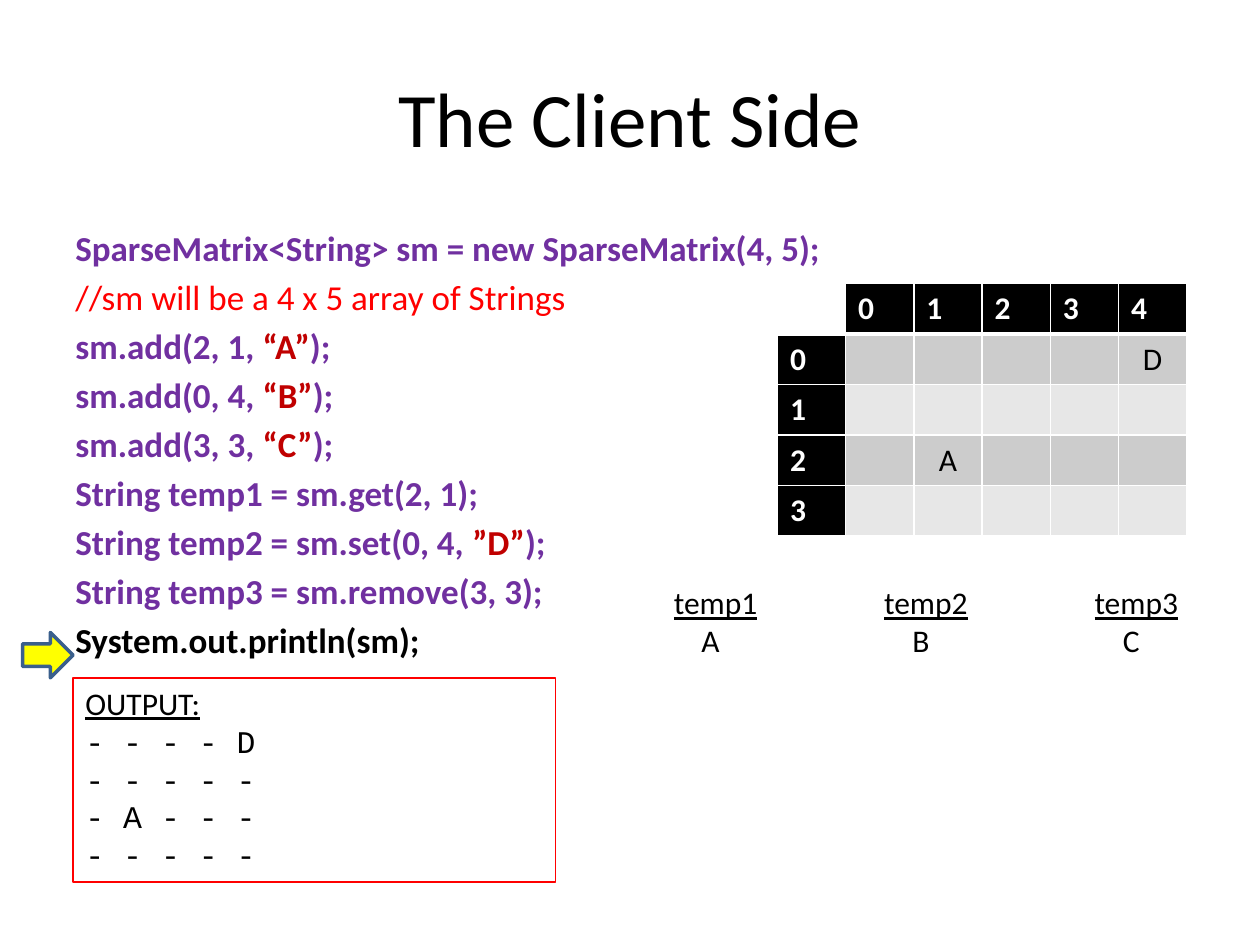
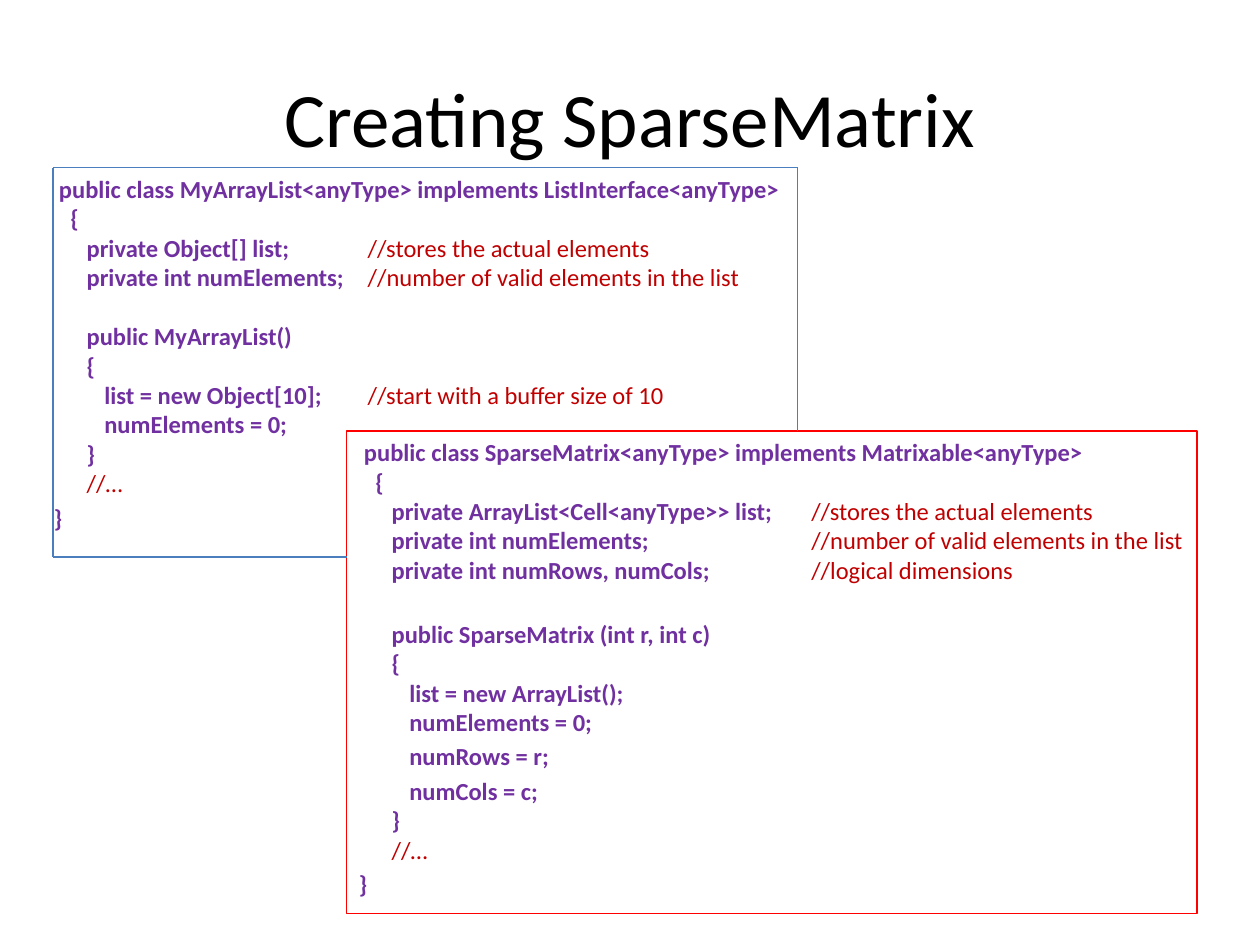
from dataclasses import dataclass

from lxml import etree
from pptx import Presentation
from pptx.dml.color import RGBColor
from pptx.enum import shapes, text
from pptx.oxml import ns
from pptx.util import Inches, Pt


@dataclass(frozen=True)
class Theme:
    # Colours
    black: str = "000000"
    white: str = "FFFFFF"
    code: str = "7030A0"
    literal: str = "C00000"
    red: str = "FF0000"
    blue: str = "4B7EBC"
    arrow_fill: str = "FFFF00"
    arrow_line: str = "3A5F8C"
    bands: tuple = ("CCCCCC", "E7E7E7")
    # Fonts and type sizes
    font: str = "Calibri"
    mono: str = "Courier New"
    title_size: int = 44
    large_code: int = 20
    label: int = 18
    small_code: int = 14


THEME = Theme()


def style(size, color=THEME.black, **extra):
    return {"name": THEME.font, "size": Pt(size), "color": color, **extra}


TITLE = style(THEME.title_size)
CODE = style(THEME.large_code, THEME.code, bold=True)
LITERAL = style(THEME.large_code, THEME.literal, bold=True)
NOTE = style(THEME.large_code, THEME.red)
CURRENT = style(THEME.large_code, bold=True)
LABEL = style(THEME.label)
UNDERLINED = style(THEME.label, underline=True)
MONO = {**LABEL, "name": THEME.mono}
HEADER = style(THEME.label, THEME.white, bold=True)
SMALL_CODE = style(THEME.small_code, THEME.code, bold=True)
COMMENT = style(THEME.small_code, THEME.literal)

# Indent steps of the class listings, in inches, one tab each
INDENTS = (0.04, 0.13, 0.26, 0.4)
PARAGRAPH_GAP = 2.8
BLANK_LINE = 17


def rgb(value):
    return RGBColor.from_string(value)


# Text
def write_paragraph(frame, spans, gap=0, align=text.PP_ALIGN.LEFT, tabs=(), tab_align="l"):
    para = frame.paragraphs[0]
    if para.runs:
        para = frame.add_paragraph()
    para.alignment = align
    para.space_before = Pt(gap)
    if tabs:
        properties = para._p.get_or_add_pPr()
        stops = etree.SubElement(properties, ns.qn("a:tabLst"))
        for stop in tabs:
            etree.SubElement(stops, ns.qn("a:tab"), pos=str(Inches(stop)), algn=tab_align)
    for words, look in spans:
        span = para.add_run()
        span.text = words
        for key, value in look.items():
            if key == "color":
                span.font.color.rgb = rgb(value)
            else:
                setattr(span.font, key, value)


def add_box(page, area, line=None, width=0.75, fill=None, kind=shapes.MSO_SHAPE.RECTANGLE):
    box = page.shapes.add_shape(kind, *map(Inches, area))
    box.shadow.inherit = False
    if fill:
        box.fill.solid()
        box.fill.fore_color.rgb = rgb(fill)
    else:
        box.fill.background()
    if line:
        box.line.color.rgb = rgb(line)
        box.line.width = Pt(width)
    else:
        box.line.fill.background()
    box.text_frame.word_wrap = True
    box.text_frame.vertical_anchor = text.MSO_ANCHOR.TOP
    return box


def add_page(deck, title):
    page = deck.slides.add_slide(deck.slide_layouts[6])
    frame = page.shapes.add_textbox(*map(Inches, (0.5, 0.3, 9, 1.25))).text_frame
    frame.word_wrap = True
    frame.vertical_anchor = text.MSO_ANCHOR.MIDDLE
    write_paragraph(frame, [(title, TITLE)], align=text.PP_ALIGN.CENTER)
    return page


def add_listing(page, area, line, comment_column, rows):
    """Each row holds indent level, code, comment and the gap above in points."""
    frame = add_box(page, area, line).text_frame
    frame.margin_right = 0
    for level, code, comment, gap in rows:
        spans = [("\t" * level + code, SMALL_CODE)]
        if comment:
            spans.append(("\t" + comment if code else comment, COMMENT))
        write_paragraph(frame, spans, gap, tabs=(*INDENTS, comment_column))


# Table
def set_borders(cell, bottom):
    properties = cell._tc.get_or_add_tcPr()
    for position, (side, width) in enumerate(
        (("lnL", 1), ("lnR", 1), ("lnT", 1), ("lnB", bottom))
    ):
        border = etree.Element(ns.qn(f"a:{side}"), w=str(Pt(width)))
        fill = etree.SubElement(border, ns.qn("a:solidFill"))
        etree.SubElement(fill, ns.qn("a:srgbClr"), val=THEME.white)
        properties.insert(position, border)


def add_matrix(page, area, rows, columns, values):
    table = page.shapes.add_table(rows + 1, columns + 1, *map(Inches, area)).table
    for row in range(rows + 1):
        for column in range(columns + 1):
            cell = table.cell(row, column)
            is_header = row == 0 or column == 0
            color = THEME.black if is_header else THEME.bands[(row - 1) % 2]
            words, look, align = "", LABEL, text.PP_ALIGN.CENTER
            if row == column == 0:
                color = THEME.white
            elif is_header:
                words, look, align = str(row + column - 1), HEADER, text.PP_ALIGN.LEFT
            else:
                words = values.get((row - 1, column - 1), "")
            cell.fill.solid()
            cell.fill.fore_color.rgb = rgb(color)
            set_borders(cell, bottom=3 if row == 0 else 1)
            if words:
                write_paragraph(cell.text_frame, [(words, look)], align=align)


# Lines
def add_line(page, start, end):
    line = page.shapes.add_connector(
        shapes.MSO_CONNECTOR.STRAIGHT, *map(Inches, (*start, *end))
    )
    line.line.color.rgb = rgb(THEME.blue)
    line.line.width = Pt(0.75)
    etree.SubElement(line._element.spPr, ns.qn("a:effectLst"))


# Slides
def build_client_side(deck):
    page = add_page(deck, "The Client Side")
    program = [
        [("SparseMatrix<String> sm = new SparseMatrix(4, 5);", CODE)],
        [("//sm will be a 4 x 5 array of Strings", NOTE)],
        [("sm.add(2, 1, ", CODE), ("“A”", LITERAL), (");", CODE)],
        [("sm.add(0, 4, ", CODE), ("“B”", LITERAL), (");", CODE)],
        [("sm.add(3, 3, ", CODE), ("“C”", LITERAL), (");", CODE)],
        [("String temp1 = sm.get(2, 1);", CODE)],
        [("String temp2 = sm.set(0, 4, ", CODE), ("”D”", LITERAL), (");", CODE)],
        [("String temp3 = sm.remove(3, 3);", CODE)],
        [("System.out.println(sm);", CURRENT)],
    ]
    frame = add_box(page, (0.5, 1.75, 9, 4.95)).text_frame
    for index, spans in enumerate(program):
        write_paragraph(frame, spans, gap=4 if index else 0)

    add_matrix(page, (6.17, 2.25, 3.25, 2), 4, 5, {(0, 4): "D", (2, 1): "A"})

    # Variables and their values, in three centred columns
    frame = add_box(page, (5.25, 4.58, 4.25, 0.71)).text_frame
    for words, look, first in (
        (("temp1", "temp2", "temp3"), UNDERLINED, 0.33),
        (("A", "B", "C"), LABEL, 0.29),
    ):
        spans = [span for word in words for span in (("\t", LABEL), (word, look))]
        stops = [first + 1.67 * column for column in range(3)]
        write_paragraph(frame, spans, tabs=stops, tab_align="ctr")

    # Program output
    frame = add_box(page, (0.58, 5.38, 3.83, 1.62), THEME.red).text_frame
    write_paragraph(frame, [("OUTPUT:", UNDERLINED)])
    for row in ("- - - - D", "- - - - -", "- A - - -", "- - - - -"):
        write_paragraph(frame, [(row, MONO)])

    # Marker of the current statement
    add_box(page, (0.18, 5.02, 0.4, 0.36), THEME.arrow_line, 2, THEME.arrow_fill,
            shapes.MSO_SHAPE.RIGHT_ARROW)


def build_sparse_matrix(deck):
    page = add_page(deck, "Creating SparseMatrix")
    add_listing(page, (0.33, 1.33, 6, 2.92), THEME.white, 2.49, [
        (1, "public class MyArrayList<anyType> implements ListInterface<anyType>", "", 0),
        (2, "{", "", 0),
        (3, "private Object[] list;", "//stores the actual elements", 0),
        (3, "private int numElements;", "//number of valid elements in the list", 0),
        (3, "public MyArrayList()", "", BLANK_LINE),
        (3, "{", "", 0),
        (4, "list = new Object[10];", "//start with a buffer size of 10", 0),
        (4, "numElements = 0;", "", 0),
        (3, "}", "", 0),
        (3, "", "//…", 0),
        (0, "}", "", PARAGRAPH_GAP),
    ])
    add_listing(page, (2.75, 3.42, 6.75, 3.83), THEME.red, 3.59, [
        (1, "public class SparseMatrix<anyType> implements Matrixable<anyType>", "", 0),
        (2, "{", "", 0),
        (3, "private ArrayList<Cell<anyType>> list;", "//stores the actual elements", 0),
        (3, "private int numElements;", "//number of valid elements in the list", 0),
        (3, "private int numRows, numCols;", "//logical dimensions", 0),
        (3, "public SparseMatrix (int r, int c)", "", BLANK_LINE + PARAGRAPH_GAP),
        (3, "{", "", 0),
        (4, "list = new ArrayList();", "", 0),
        (4, "numElements = 0;", "", 0),
        (4, "numRows = r;", "", PARAGRAPH_GAP),
        (4, "numCols = c;", "", PARAGRAPH_GAP),
        (3, "}", "", 0),
        (3, "", "//…", 0),
        (0, "}", "", PARAGRAPH_GAP),
    ])

    # Open frame around the first class
    left, top, right, bottom = 0.42, 1.33, 6.33, 4.42
    for start, end in (
        ((left, top), (right, top)),
        ((right, top), (right, 3.42)),
        ((left, top), (left, bottom)),
        ((left, bottom), (2.75, bottom)),
    ):
        add_line(page, start, end)


def main():
    deck = Presentation()
    deck.slide_width, deck.slide_height = Inches(10), Inches(7.5)
    build_client_side(deck)
    build_sparse_matrix(deck)
    deck.save("out.pptx")


if __name__ == "__main__":
    main()
